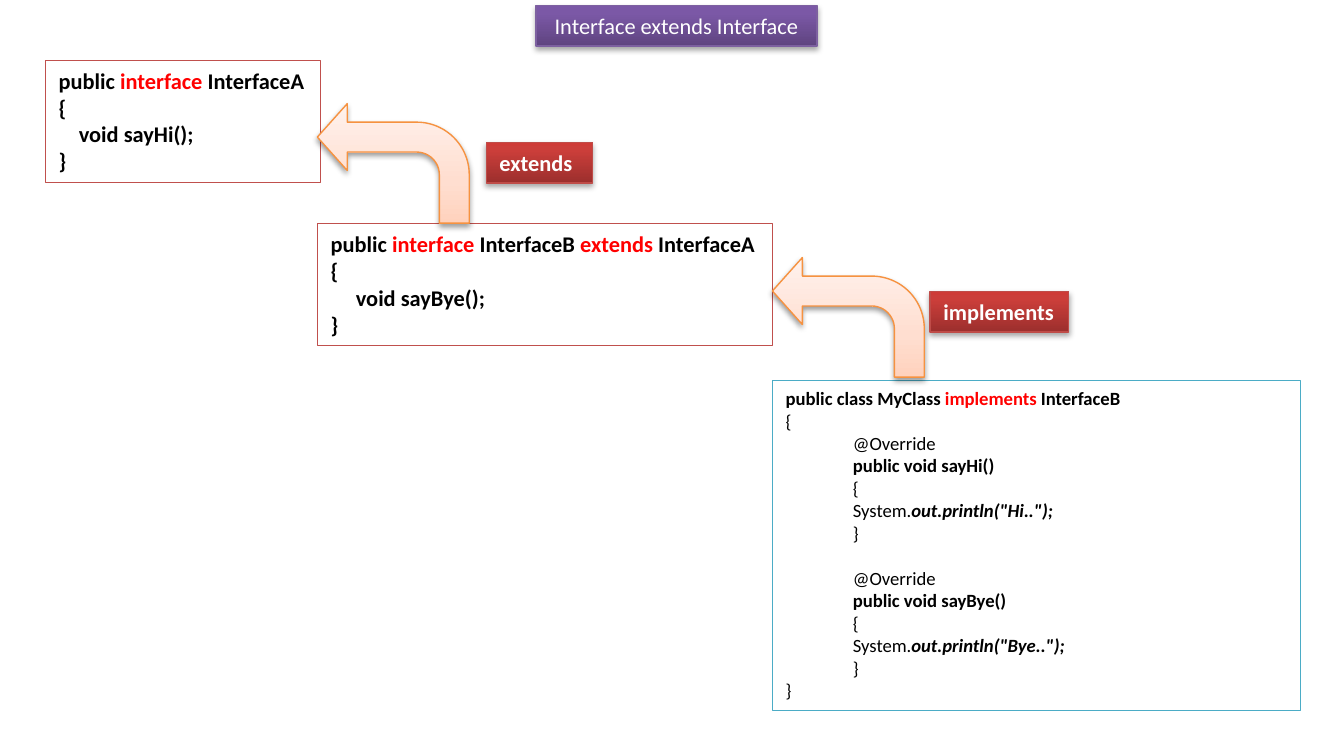
"""Build a slide on one Java interface extending another."""
from copy import deepcopy
from dataclasses import dataclass
from typing import NamedTuple

from lxml import etree
from pptx import Presentation
from pptx.dml.color import RGBColor
from pptx.enum.shapes import MSO_SHAPE
from pptx.enum.text import MSO_ANCHOR, MSO_AUTO_SIZE, PP_ALIGN
from pptx.oxml.ns import qn
from pptx.util import Cm, Pt

RECT, BENT_ARROW = MSO_SHAPE.RECTANGLE, MSO_SHAPE.BENT_ARROW
LEFT, CENTER = PP_ALIGN.LEFT, PP_ALIGN.CENTER
TOP = MSO_ANCHOR.TOP
GROW, FIXED = MSO_AUTO_SIZE.SHAPE_TO_FIT_TEXT, MSO_AUTO_SIZE.NONE
TITLE_ONLY = 5


@dataclass(frozen=True)
class Theme:
    """Colours, gradients and type sizes of the slide."""
    font: str = "Calibri"
    size: float = 12
    small: float = 10
    text: str = "000000"
    keyword: str = "FF0000"
    light: str = "FFFFFF"
    red_line: str = "C0504D"
    blue_line: str = "4BACC6"
    purple_line: str = "7D60A0"
    label_line: str = "BF4C48"
    arrow_line: str = "F69240"
    purple: tuple = ((0, "5F4480"), (0.8, "7B58A6"), (1, "7C57A8"))
    red: tuple = ((0, "9C2F2D"), (0.8, "CB3E3A"), (1, "CE3B37"))
    peach: tuple = ((0, "FFD2BD"), (0.35, "FFDED0"), (1, "FFF2ED"))


THEME = Theme()


class Box(NamedTuple):
    """Place and size in centimetres."""
    left: float
    top: float
    width: float
    height: float


class Run(NamedTuple):
    """A piece of text with one format."""
    text: str
    color: str = THEME.text
    bold: bool = True
    italic: bool = False


class Line(NamedTuple):
    """A line of text."""
    runs: list[Run]
    indented: bool = False
    gap: float = 0


@dataclass(frozen=True)
class CodeBox:
    """An outlined box of source code."""
    box: Box
    outline: str
    size: float
    wrap: bool
    lines: list[Line]


@dataclass(frozen=True)
class Label:
    """A red tag beside an arrow."""
    text: str
    box: Box


def keyword(text: str) -> Run:
    """Return a highlighted run."""
    return Run(text, THEME.keyword)


def plain(text: str) -> Run:
    """Return a run in regular weight."""
    return Run(text, bold=False)


def interface(head: list[Run], body: str) -> list[Line]:
    """Return the lines of an interface with one method."""
    return [Line(head)] + [Line([Run(text)]) for text in ("{", body, "}")]


def method(name: str, message: str, gap: float = 0) -> list[Line]:
    """Return the lines of an overriding method."""
    rows = [
        [plain("@Override")],
        [Run(f"public void {name}()")],
        [plain("{")],
        [plain("System."), Run(f'out.println("{message}");', italic=True)],
        [plain("}")],
    ]
    return [Line(runs, True, 0 if i else gap) for i, runs in enumerate(rows)]


CODE_BOXES = [
    CodeBox(Box(0.86, 1.14, 5.2, 2.31), THEME.red_line, THEME.size, False, interface(
        [Run("public "), keyword("interface "), Run("InterfaceA")],
        "    void sayHi();")),
    CodeBox(Box(6, 4.23, 8.6, 2.31), THEME.red_line, THEME.size, False, interface(
        [Run("public "), keyword("interface "), Run("InterfaceB "),
         keyword("extends"), Run(" InterfaceA")],
        "     void sayBye();")),
    CodeBox(Box(14.6, 7.19, 9.98, 6.25), THEME.blue_line, THEME.small, True, [
        Line([Run("public class MyClass "), keyword("implements "), Run("InterfaceB")]),
        Line([plain("{")]),
        *method("sayHi", "Hi.."),
        *method("sayBye", "Bye..", gap=12.2),
        Line([plain("}")]),
    ]),
]
ARROWS = [Box(14.6, 4.87, 2.87, 2.26), Box(6, 1.96, 2.87, 2.26)]
LABELS = [
    Label("implements", Box(17.58, 5.51, 2.62, 0.77)),
    Label("extends", Box(9.19, 2.69, 2.01, 0.77)),
]


def outline(sp, color: str, width: float) -> None:
    """Draw a solid outline."""
    sp.line.color.rgb = RGBColor.from_string(color)
    sp.line.width = Pt(width)


def style_raised(sp, stops: tuple, line: str, opacity: int, distance: float) -> None:
    """Give a shape a rising gradient, an outline and a soft shadow."""
    sp.fill.gradient()
    sp.fill.gradient_angle = 90
    stop_list = sp._element.spPr.find(".//" + qn("a:gsLst"))
    stop_list.append(deepcopy(stop_list[0]))
    for stop, (position, color) in zip(sp.fill.gradient_stops, stops):
        stop.position = position
        stop.color.rgb = RGBColor.from_string(color)
    outline(sp, line, 0.75)
    sp.shadow.inherit = False
    effects = sp._element.spPr.find(qn("a:effectLst"))
    shadow = etree.SubElement(
        effects, qn("a:outerShdw"), blurRad=str(Pt(3.1)), dist=str(Pt(distance)),
        dir="5400000", rotWithShape="0")
    color = etree.SubElement(shadow, qn("a:srgbClr"), val="000000")
    etree.SubElement(color, qn("a:alpha"), val=str(opacity * 1000))


def write(sp, lines: list[Line], size: float, wrap: bool, align=LEFT, fit=GROW) -> None:
    """Fill a shape with formatted lines."""
    tf = sp.text_frame
    tf.word_wrap, tf.auto_size, tf.vertical_anchor = wrap, fit, TOP
    for i, line in enumerate(lines):
        p = tf.add_paragraph() if i else tf.paragraphs[0]
        p.alignment = align
        if line.indented:
            p.level = 1
            p._p.get_or_add_pPr().set("marL", str(Cm(1.27)))
        if line.gap:
            p.space_before = Pt(line.gap)
        for run in line.runs:
            r = p.add_run()
            r.text = run.text
            r.font.name, r.font.size = THEME.font, Pt(size)
            r.font.bold, r.font.italic = run.bold, run.italic
            r.font.color.rgb = RGBColor.from_string(run.color)


def add_shape(s, kind: MSO_SHAPE, box: Box):
    """Add a preset shape at a place in centimetres."""
    return s.shapes.add_shape(kind, *(Cm(v) for v in box))


def draw_title(s, text: str) -> None:
    """Turn the title placeholder into a purple banner."""
    sp = s.shapes.title
    sp.left, sp.top, sp.width, sp.height = Cm(10.13), Cm(0.1), Cm(5.31), Cm(0.77)
    style_raised(sp, THEME.purple, THEME.purple_line, 35, 1.8)
    write(sp, [Line([Run(text, THEME.light, False)])], THEME.size, True, CENTER, FIXED)


def draw_code(s, code: CodeBox) -> None:
    """Draw a white box of code."""
    sp = add_shape(s, RECT, code.box)
    sp.shadow.inherit = False
    sp.fill.solid()
    sp.fill.fore_color.rgb = RGBColor.from_string(THEME.light)
    outline(sp, code.outline, 0.5)
    write(sp, code.lines, code.size, code.wrap)


def draw_arrow(s, box: Box) -> None:
    """Draw a bent arrow pointing left."""
    sp = add_shape(s, BENT_ARROW, box)
    for i, value in enumerate((0.25, 0.28, 0.25, 0.44)):
        sp.adjustments[i] = value
    sp._element.spPr.find(qn("a:xfrm")).set("flipH", "1")
    style_raised(sp, THEME.peach, THEME.arrow_line, 38, 1.6)


def draw_label(s, label: Label) -> None:
    """Draw a red tag."""
    sp = add_shape(s, RECT, label.box)
    style_raised(sp, THEME.red, THEME.label_line, 35, 1.8)
    write(sp, [Line([Run(label.text, THEME.light)])], THEME.size, False)


def main() -> None:
    """Build and save the slide."""
    prs = Presentation()
    prs.slide_width, prs.slide_height = Cm(25.4), Cm(13.97)
    s = prs.slides.add_slide(prs.slide_layouts[TITLE_ONLY])
    draw_title(s, "Interface extends Interface")
    for draw, items in ((draw_code, CODE_BOXES), (draw_arrow, ARROWS), (draw_label, LABELS)):
        for item in items:
            draw(s, item)
    prs.save("out.pptx")


if __name__ == "__main__":
    main()
